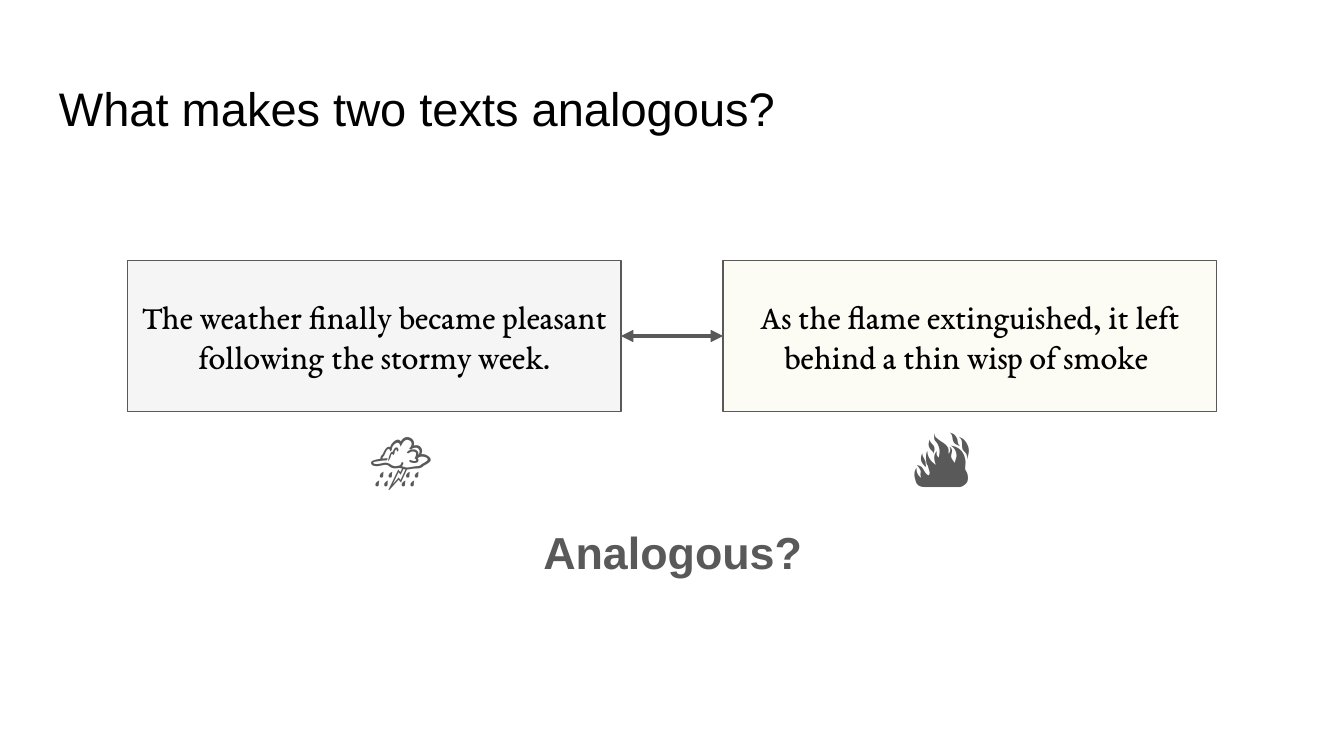
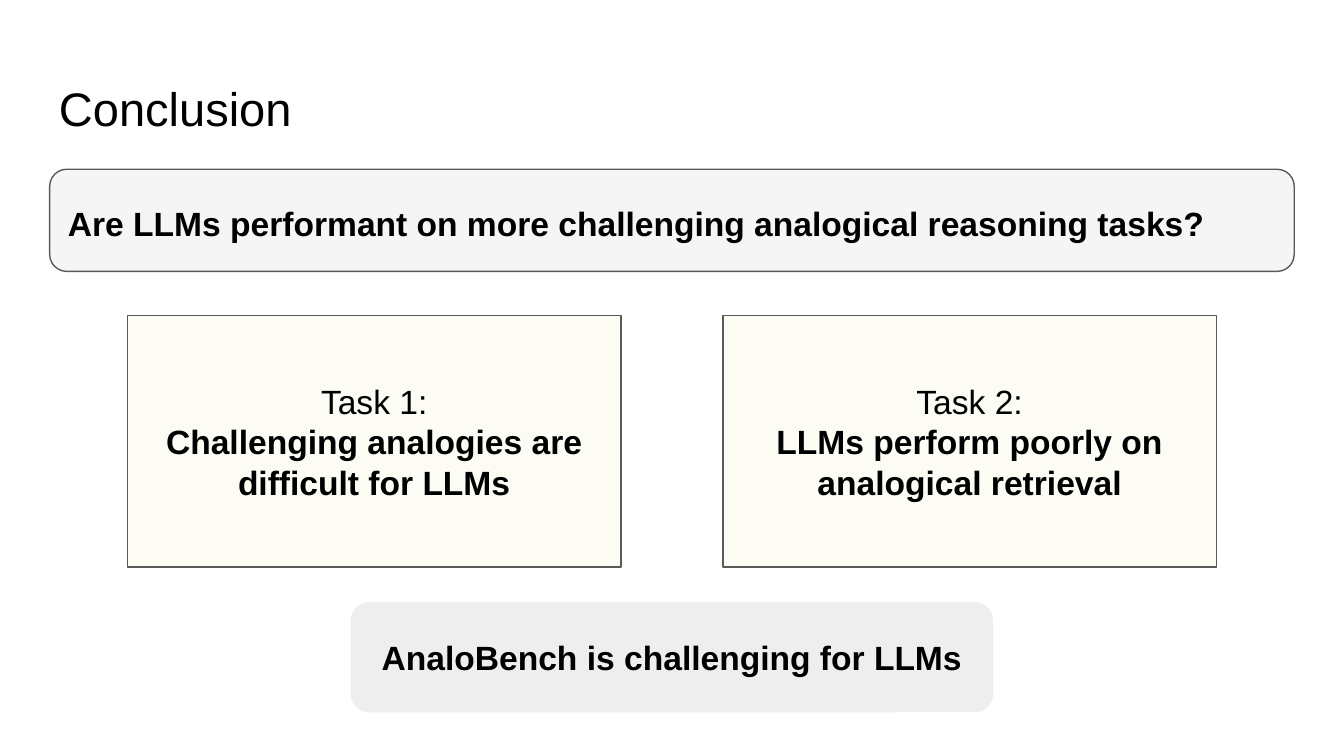
from dataclasses import dataclass
from lxml.etree import SubElement
from pptx import Presentation
from pptx.dml.color import RGBColor
from pptx.enum.shapes import MSO_CONNECTOR, MSO_SHAPE
from pptx.enum.text import MSO_ANCHOR, PP_ALIGN
from pptx.oxml.ns import qn
from pptx.util import Inches, Pt

SLIDE_W = 10
SLIDE_H = SLIDE_W * 9 / 16
BLACK, GRAY = "000000", "595959"
PALE, CREAM, SILVER = "F5F5F5", "FCFBF4", "EEEEEE"
SANS, SERIF = "Arial", "EB Garamond"
CARD_W, CARD_LEFTS = 3.67, (0.95, 5.38)


@dataclass
class Line:
    text: str
    size: float = 18
    bold: bool = False
    color: str = BLACK
    font: str = SANS
    align: PP_ALIGN = PP_ALIGN.CENTER
    spacing: float = 1.0


@dataclass
class Box:
    left: float
    top: float
    width: float
    height: float
    lines: list[Line]
    shape: MSO_SHAPE | None = None
    fill: str = PALE
    outline: str | None = GRAY
    anchor: MSO_ANCHOR = MSO_ANCHOR.MIDDLE


def rgb(color: str) -> RGBColor:
    return RGBColor.from_string(color)


def write(tf, box: Box) -> None:
    tf.word_wrap = True
    tf.vertical_anchor = box.anchor
    tf.margin_left = tf.margin_right = tf.margin_top = tf.margin_bottom = Inches(0.1)
    for i, line in enumerate(box.lines):
        p = tf.add_paragraph() if i else tf.paragraphs[0]
        p.add_run().text = line.text
        p.alignment = line.align
        p.line_spacing = line.spacing
        p.font.name = line.font
        p.font.size = Pt(line.size)
        p.font.bold = line.bold
        p.font.color.rgb = rgb(line.color)


def draw(s, box: Box) -> None:
    place = [Inches(v) for v in (box.left, box.top, box.width, box.height)]
    if box.shape is None:
        sp = s.shapes.add_textbox(*place)
    else:
        sp = s.shapes.add_shape(box.shape, *place)
        sp.shadow.inherit = False
        sp.fill.solid()
        sp.fill.fore_color.rgb = rgb(box.fill)
        if box.outline:
            sp.line.color.rgb = rgb(box.outline)
            sp.line.width = Pt(0.75)
        else:
            sp.line.fill.background()
    write(sp.text_frame, box)


def add_double_arrow(s, x1: float, x2: float, y: float) -> None:
    cxn = s.shapes.add_connector(
        MSO_CONNECTOR.STRAIGHT, Inches(x1), Inches(y), Inches(x2), Inches(y)
    )
    cxn.line.color.rgb = rgb(GRAY)
    cxn.line.width = Pt(2.25)
    ln = cxn.line._get_or_add_ln()
    for end in ("a:headEnd", "a:tailEnd"):
        SubElement(ln, qn(end), type="triangle")
    SubElement(cxn._element.spPr, qn("a:effectLst"))


def add_slide(prs, title: str):
    s = prs.slides.add_slide(prs.slide_layouts[6])
    heading = Line(title, 25.2, align=PP_ALIGN.LEFT)
    draw(s, Box(0.34, 0.49, 9.32, 0.63, [heading], anchor=MSO_ANCHOR.TOP))
    return s


def add_analogy_slide(prs) -> None:
    s = add_slide(prs, "What makes two texts analogous?")
    texts = (
        "The weather finally became pleasant following the stormy week.",
        "As the flame extinguished, it left behind a thin wisp of smoke ",
    )
    for left, text, fill in zip(CARD_LEFTS, texts, (PALE, CREAM)):
        lines = [Line(text, font=SERIF)]
        draw(s, Box(left, 1.94, CARD_W, 1.12, lines, MSO_SHAPE.RECTANGLE, fill))
    for left, icon in ((2.52, "⛈️"), (6.54, "🔥")):
        draw(s, Box(left, 3.06, 0.94, 0.63, [Line(icon, 32, color=GRAY)]))
    add_double_arrow(s, CARD_LEFTS[0] + CARD_W, CARD_LEFTS[1], 2.5)
    question = Line("Analogous?", 24, bold=True, color=GRAY)
    draw(s, Box(3.66, 3.69, 2.69, 0.83, [question]))


def add_conclusion_slide(prs) -> None:
    s = add_slide(prs, "Conclusion")
    findings = (
        "Challenging analogies are difficult for LLMs",
        "LLMs perform poorly on analogical retrieval",
    )
    for n, (left, finding) in enumerate(zip(CARD_LEFTS, findings), 1):
        lines = [Line(f"Task {n}:"), Line(finding, bold=True)]
        draw(s, Box(left, 2.35, CARD_W, 1.87, lines, MSO_SHAPE.RECTANGLE, CREAM))
    question = Line(
        "Are LLMs performant on more challenging analogical reasoning tasks?",
        bold=True, align=PP_ALIGN.LEFT, spacing=1.15,
    )
    draw(s, Box(0.37, 1.26, 9.26, 0.76, [question], MSO_SHAPE.ROUNDED_RECTANGLE))
    answer = Line("AnaloBench is challenging for LLMs", bold=True)
    draw(s, Box(2.61, 4.48, 4.78, 0.82, [answer],
                MSO_SHAPE.ROUNDED_RECTANGLE, SILVER, None))


def main() -> None:
    prs = Presentation()
    prs.slide_width, prs.slide_height = Inches(SLIDE_W), Inches(SLIDE_H)
    add_analogy_slide(prs)
    add_conclusion_slide(prs)
    prs.save("out.pptx")


if __name__ == "__main__":
    main()
